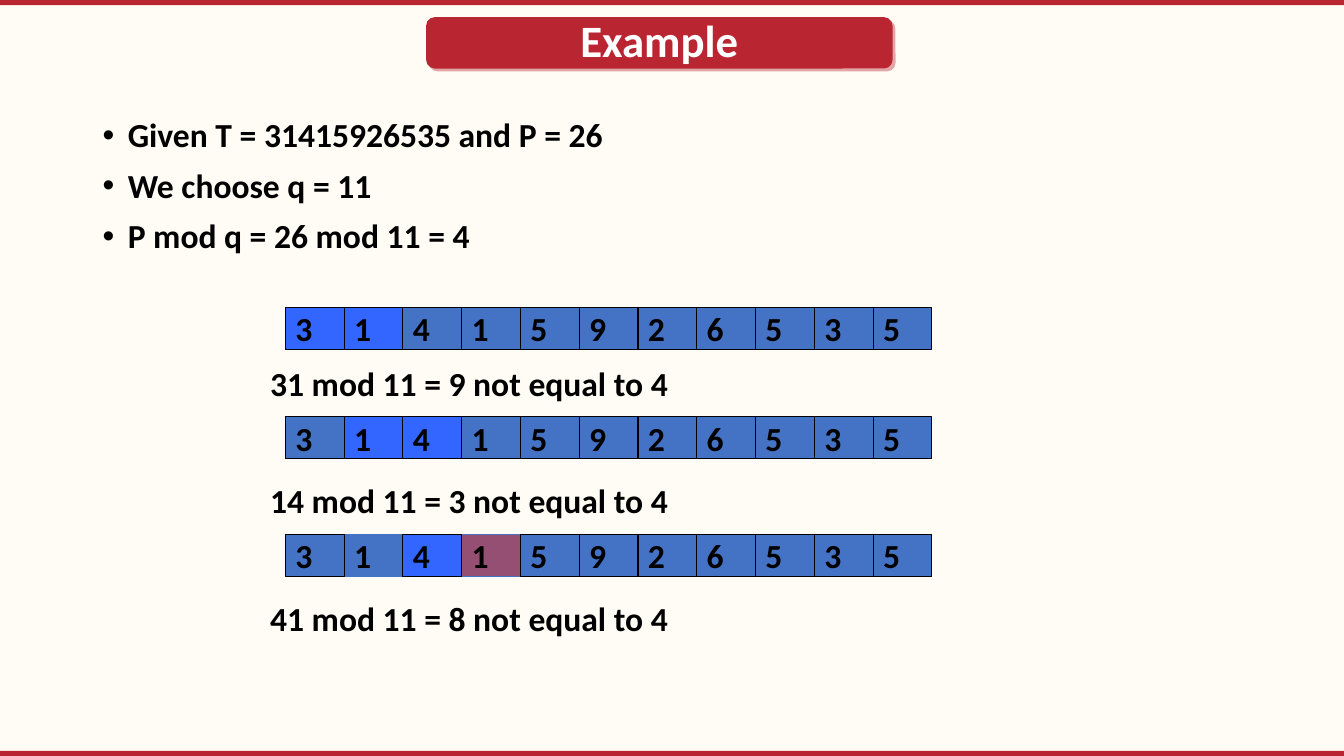
from lxml.etree import SubElement
from pptx import Presentation
from pptx.dml.color import RGBColor
from pptx.enum.shapes import MSO_SHAPE
from pptx.enum.text import MSO_ANCHOR, PP_ALIGN
from pptx.oxml.ns import qn
from pptx.util import Inches, Pt

RED = RGBColor(0xBA, 0x25, 0x32)
CREAM = RGBColor(0xFF, 0xFC, 0xF5)
BLACK = RGBColor(0, 0, 0)
WHITE = RGBColor(0xFF, 0xFF, 0xFF)
STEEL = RGBColor(0x44, 0x72, 0xC4)
BRIGHT = RGBColor(0x33, 0x66, 0xFF)
PLUM = RGBColor(0x95, 0x4F, 0x72)

WIDE, HIGH = 13.34, 7.5
UNIT = 1 / 12  # grid step in inches
LEFT, TOP = 34 * UNIT, 3.05
DIGITS = "31415926535"

deck = Presentation()
deck.slide_width, deck.slide_height = Inches(WIDE), Inches(HIGH)
slide = deck.slides.add_slide(deck.slide_layouts[6])
slide.background.fill.solid()
slide.background.fill.fore_color.rgb = CREAM


def block(kind, box, fill, edge=None):
    """Add a flat filled shape, outlined only when an edge colour is given."""
    shape = slide.shapes.add_shape(kind, *map(Inches, box))
    shape.fill.solid()
    shape.fill.fore_color.rgb = fill
    if edge is None:
        shape.line.fill.background()
    else:
        shape.line.color.rgb = edge
        shape.line.width = Pt(0.75)
    shape.shadow.inherit = False
    return shape


def write(para, text, tint=BLACK, size=24, **layout):
    para.text = text
    for name, value in layout.items():
        setattr(para, name, value)
    look = {"name": "Calibri", "size": Pt(size), "bold": True}
    for name, value in look.items():
        setattr(para.font, name, value)
    para.font.color.rgb = tint


# Top and bottom bands
for y in (0, HIGH - 0.05):
    block(MSO_SHAPE.RECTANGLE, (0, y, WIDE, 0.05), RED)

# Title with its offset shadow
title = block(MSO_SHAPE.ROUNDED_RECTANGLE, (4.23, 0.17, 4.63, 0.51), RED)
title.adjustments[0] = 0.167
title.text_frame.vertical_anchor = MSO_ANCHOR.MIDDLE
write(title.text_frame.paragraphs[0], "Example", WHITE, 32,
      alignment=PP_ALIGN.CENTER, line_spacing=0.9)
effect = title._element.spPr.find(qn("a:effectLst"))
shade = SubElement(effect, qn("a:outerShdw"), blurRad="0",
                   dist=str(Pt(3)), dir="2700000", algn="ctr", rotWithShape="0")
tone = SubElement(shade, qn("a:srgbClr"), val=str(RED))
SubElement(tone, qn("a:alpha"), val="40000")

# Given facts
facts = ("Given T = 31415926535 and P = 26",
         "We choose q = 11",
         "P mod q = 26 mod 11 = 4")
frame = slide.shapes.add_textbox(*map(Inches, (0.92, 1.13, 11.5, 4.76))).text_frame
frame.word_wrap = True
for i, fact in enumerate(facts):
    para = frame.add_paragraph() if i else frame.paragraphs[0]
    props = para._p.get_or_add_pPr()
    props.set("marL", str(Inches(0.25)))
    props.set("indent", str(-Inches(0.25)))
    SubElement(props, qn("a:buFont"), typeface="Arial")
    SubElement(props, qn("a:buChar"), char="•")
    write(para, fact, line_spacing=0.9, space_before=Pt(10 if i else 0))

# Each step: row and caption offsets in units, cell fills, soft-edged cells, caption
steps = (
    (0, 6, {0: BRIGHT, 1: BRIGHT}, (), "31 mod 11 = 9 not equal to 4"),
    (13, 20, {1: BRIGHT, 2: BRIGHT}, (), "14 mod 11 = 3 not equal to 4"),
    (27, 34, {2: BRIGHT, 3: PLUM}, (1, 3), "41 mod 11 = 8 not equal to 4"),
)
# Odd columns go first, so black edges cover the soft ones
order = [*range(1, len(DIGITS), 2), *range(0, len(DIGITS), 2)]
for row, below, fills, soft, note in steps:
    for col in order:
        box = (LEFT + 7 * UNIT * col, TOP + row * UNIT, 7 * UNIT, 5 * UNIT)
        cell = block(MSO_SHAPE.RECTANGLE, box, fills.get(col, STEEL),
                     STEEL if col in soft else BLACK)
        cell.text_frame.word_wrap = False
        cell.text_frame.vertical_anchor = MSO_ANCHOR.MIDDLE
        write(cell.text_frame.paragraphs[0], DIGITS[col], alignment=PP_ALIGN.LEFT)
    box = (LEFT - 3 * UNIT, TOP + below * UNIT, 6.47, 6 * UNIT)
    label = slide.shapes.add_textbox(*map(Inches, box)).text_frame
    label.word_wrap = True
    write(label.paragraphs[0], note)

deck.save("out.pptx")
